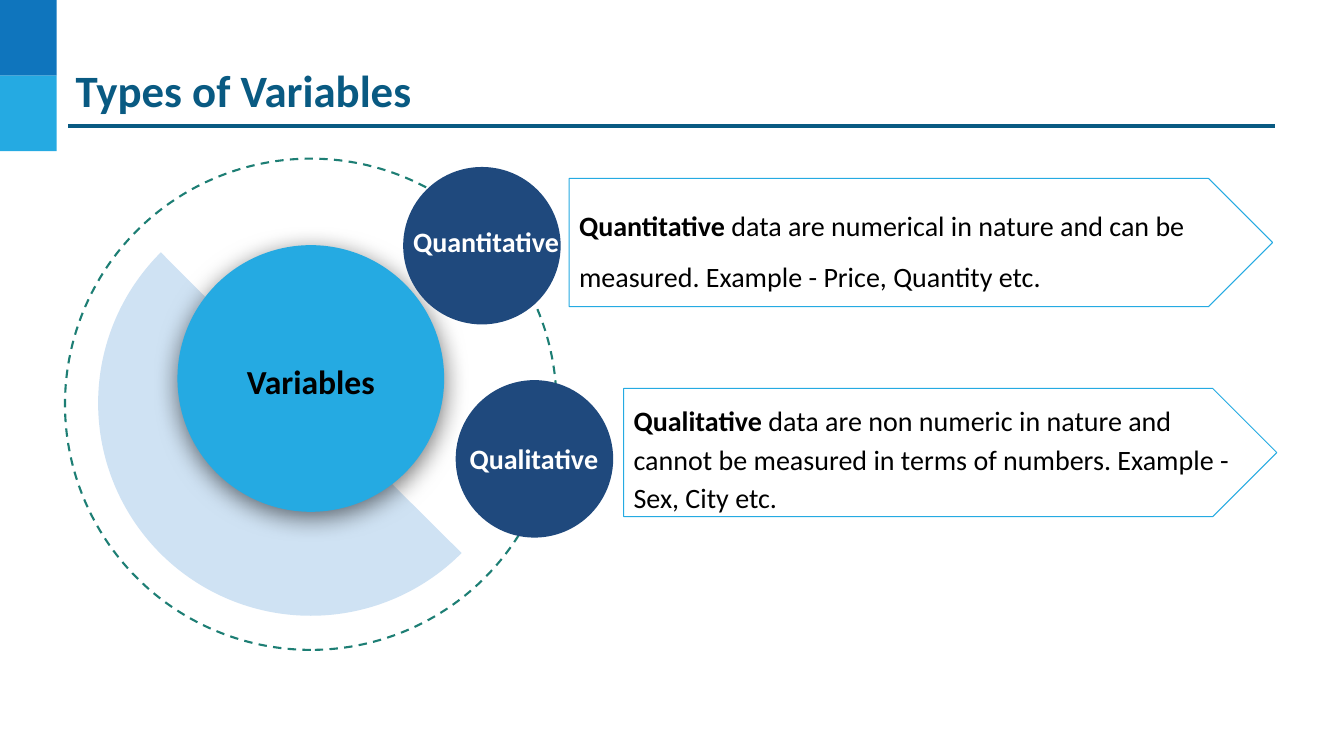
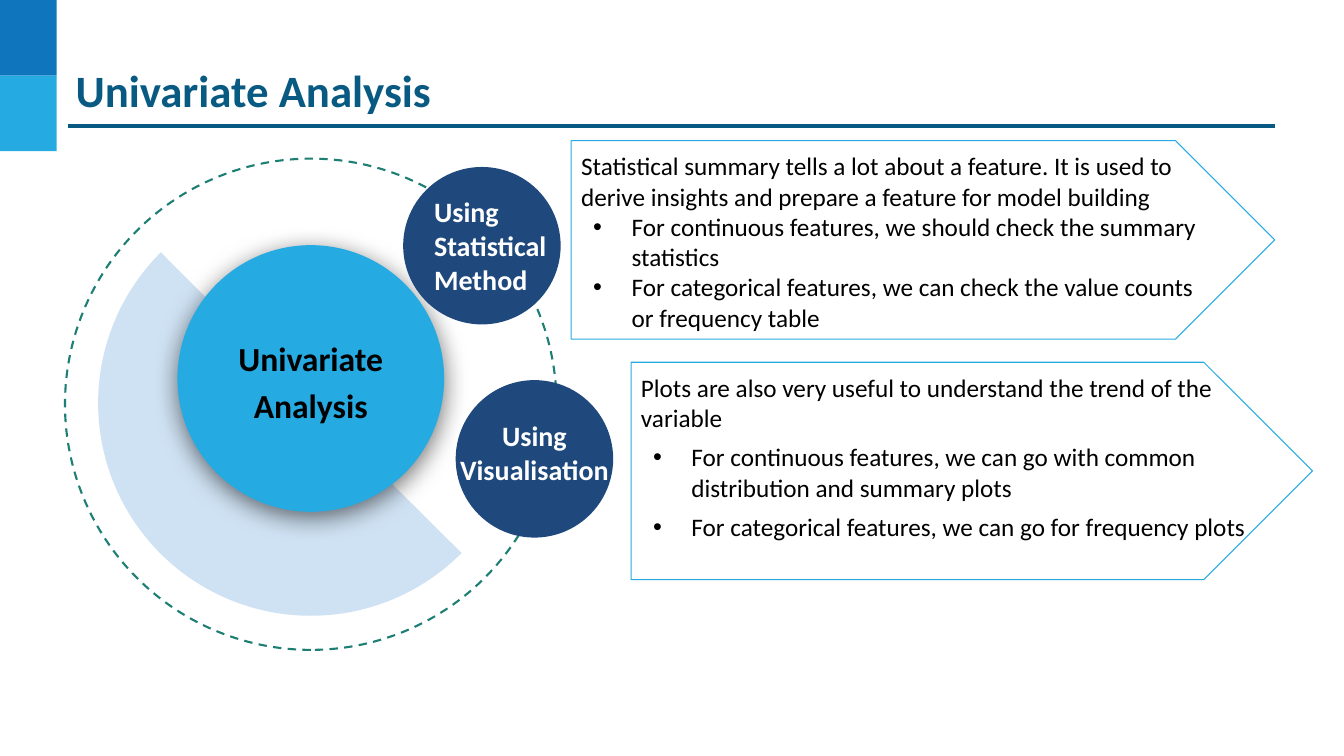
from dataclasses import dataclass

from lxml.etree import SubElement
from pptx import Presentation
from pptx.dml.color import RGBColor
from pptx.enum.dml import MSO_LINE
from pptx.enum.shapes import MSO_CONNECTOR, MSO_SHAPE
from pptx.enum.text import MSO_ANCHOR as Anchor, PP_ALIGN as Align
from pptx.oxml.ns import qn
from pptx.util import Emu, Inches, Pt

SLIDE_W, SLIDE_H = Inches(13.33), Inches(7.5)
COLUMNS, ROWS = 128, 72


@dataclass(frozen=True)
class Theme:
    font: str = "Calibri"
    band_dark: str = "0F75BD"
    accent: str = "25AAE2"
    heading: str = "095A82"
    ring: str = "1D7E74"
    sector: str = "CFE2F3"
    satellite: str = "1F497D"
    ink: str = "000000"
    paper: str = "FFFFFF"
    title_size: int = 32
    hub_size: int = 24
    body_size: int = 20
    detail_size: int = 18


THEME = Theme()


@dataclass(frozen=True)
class Para:
    """A paragraph whose runs are (text, bold) pairs."""
    runs: tuple
    before: float = 0
    spacing: float = 1.0
    align: Align = Align.LEFT
    bulleted: bool = False


@dataclass(frozen=True)
class Branch:
    """A satellite circle's label and the arrow panel beside it."""
    label: str
    label_box: tuple
    label_align: Align
    panel_box: tuple
    panel_paras: tuple
    panel_size: int
    panel_anchor: Anchor = Anchor.TOP


def plain(text, **style):
    return Para(((text, False),), **style)


def bold(text, **style):
    return Para(((text, True),), **style)


def x(columns):
    return Emu(round(SLIDE_W * columns / COLUMNS))


def y(rows):
    return Emu(round(SLIDE_H * rows / ROWS))


def place(box):
    left, top, width, height = box
    return x(left), y(top), x(width), y(height)


def around(centre, diameter):
    """Box of a circle, from its centre."""
    column, row = centre
    return column - diameter / 2, row - diameter / 2, diameter, diameter


def rgb(colour):
    return RGBColor.from_string(colour)


def add_bullet(paragraph):
    props = paragraph._p.get_or_add_pPr()
    props.set("marL", str(Inches(0.5)))
    props.set("indent", str(Inches(-0.38)))
    tint = SubElement(props, qn("a:buClr"))
    SubElement(tint, qn("a:srgbClr"), val=THEME.ink)
    SubElement(props, qn("a:buFont"), typeface="Arial")
    SubElement(props, qn("a:buChar"), char="•")


def write(frame, paras, size, colour, anchor=Anchor.TOP, inset=0.1):
    frame.word_wrap = True
    frame.vertical_anchor = anchor
    frame.margin_left = frame.margin_right = Inches(inset)
    frame.margin_top = frame.margin_bottom = Inches(inset)
    for index, para in enumerate(paras):
        paragraph = frame.add_paragraph() if index else frame.paragraphs[0]
        paragraph.alignment = para.align
        paragraph.line_spacing = para.spacing
        paragraph.space_before = Pt(para.before)
        if para.bulleted:
            add_bullet(paragraph)
        for text, is_bold in para.runs:
            run = paragraph.add_run()
            run.text = text
            run.font.name = THEME.font
            run.font.size = Pt(size)
            run.font.bold = is_bold
            run.font.color.rgb = rgb(colour)


def add_figure(slide, preset, box, fill=None, line=None, width=0.75):
    figure = slide.shapes.add_shape(preset, *place(box))
    figure.shadow.inherit = False
    if fill:
        figure.fill.solid()
        figure.fill.fore_color.rgb = rgb(fill)
    else:
        figure.fill.background()
    if line:
        figure.line.color.rgb = rgb(line)
        figure.line.width = Pt(width)
    else:
        figure.line.fill.background()
    return figure


def add_text(slide, box, paras, size, colour, **layout):
    frame = slide.shapes.add_textbox(*place(box)).text_frame
    write(frame, paras, size, colour, **layout)


def add_drop_shadow(figure):
    effects = figure._element.spPr.find(qn("a:effectLst"))
    shadow = SubElement(effects, qn("a:outerShdw"), blurRad=str(Pt(18)),
                        dist=str(Pt(4)), dir=str(90 * 60000),
                        algn="ctr", rotWithShape="0")
    tint = SubElement(shadow, qn("a:srgbClr"), val=THEME.ink)
    SubElement(tint, qn("a:alpha"), val="54000")


def move_frame_to_layout(slide, layout):
    """Draw the corner bands and title rule, then hand them to the layout."""
    band_w, band_h = 5.4, 7.2
    frame = [
        add_figure(slide, MSO_SHAPE.RECTANGLE,
                   (0, index * band_h, band_w, band_h), fill=colour)
        for index, colour in enumerate((THEME.band_dark, THEME.accent))
    ]
    rule = slide.shapes.add_connector(
        MSO_CONNECTOR.STRAIGHT, x(6.5), y(12), x(121.4), y(12))
    rule.line.color.rgb = rgb(THEME.heading)
    rule.line.width = Pt(2.25)
    SubElement(rule._element.spPr, qn("a:effectLst"))
    for part in frame + [rule]:
        layout.shapes.element.append(part._element)


def add_hub(slide, text):
    ring = add_figure(slide, MSO_SHAPE.OVAL, around((29.6, 38.5), 46.8),
                      line=THEME.ring, width=1.5)
    ring.line.dash_style = MSO_LINE.DASH
    ring.rotation = 270

    sector = add_figure(slide, MSO_SHAPE.PIE, around((29.6, 38.4), 40.5),
                        fill=THEME.sector)
    # Adjustments count 100000ths, pie angles 60000ths of a degree.
    for index, degrees in enumerate((44.83, 225.18)):
        sector.adjustments[index] = degrees * 0.6

    disc = add_figure(slide, MSO_SHAPE.OVAL, around((29.6, 36.05), 25.4),
                      fill=THEME.accent)
    add_drop_shadow(disc)
    write(disc.text_frame, [bold(text, align=Align.CENTER, spacing=1.15)],
          THEME.hub_size, THEME.ink, anchor=Anchor.MIDDLE, inset=0.13)


def add_branch(slide, centre, branch):
    panel = add_figure(slide, MSO_SHAPE.PENTAGON, branch.panel_box,
                       line=THEME.accent)
    write(panel.text_frame, branch.panel_paras, branch.panel_size, THEME.ink,
          anchor=branch.panel_anchor)
    add_figure(slide, MSO_SHAPE.OVAL, around(centre, 15), fill=THEME.satellite)
    add_text(slide, branch.label_box,
             [bold(branch.label, align=branch.label_align)],
             THEME.body_size, THEME.paper)


def fill_slide(slide, title, hub, branches):
    add_text(slide, (7, 4.5, 118, 8), [bold(title)], THEME.title_size,
             THEME.heading, anchor=Anchor.MIDDLE, inset=0.02)
    add_hub(slide, hub)
    for centre, branch in zip(((45.9, 23.4), (50.9, 43.7)), branches):
        add_branch(slide, centre, branch)


def definition(term, text, spacing):
    return (Para(((term, True), (text, False)), before=17.1, spacing=spacing),)


def points(intro, *items, gap=0):
    return (plain(intro, before=6.4),
            *(plain(item, before=gap, bulleted=True) for item in items))


CONTENT = (
    ("Types of Variables", "Variables", (
        Branch("Quantitative", (38.4, 20.4, 16.8, 5.2), Align.LEFT,
               (54.2, 17, 67, 12.2),
               definition("Quantitative",
                          " data are numerical in nature and can be measured."
                          " Example - Price, Quantity etc.", 1.5),
               THEME.body_size, Anchor.MIDDLE),
        Branch("Qualitative", (43.7, 41.1, 14.3, 5.2), Align.CENTER,
               (59.4, 37, 62.2, 12.2),
               definition("Qualitative",
                          " data are non numeric in nature and cannot be"
                          " measured in terms of numbers."
                          " Example - Sex, City etc.", 1.15),
               THEME.body_size),
    )),
    ("Univariate Analysis", "Univariate Analysis", (
        Branch("Using Statistical Method", (40.4, 17.6, 16.8, 11.6), Align.LEFT,
               (54.4, 13.4, 67, 18.9),
               points("Statistical summary tells a lot about a feature. It is"
                      " used to derive insights and prepare a feature for"
                      " model building",
                      "For continuous features, we should check the summary"
                      " statistics",
                      "For categorical features, we can check the value counts"
                      " or frequency table"),
               THEME.detail_size),
        Branch("Using Visualisation", (42.5, 38.9, 16.8, 8.4), Align.CENTER,
               (60.1, 34.5, 64.9, 20.7),
               points("Plots are also very useful to understand the trend of"
                      " the variable",
                      "For continuous features, we can go with common"
                      " distribution and summary plots",
                      "For categorical features, we can go for frequency plots",
                      gap=6.4),
               THEME.detail_size),
    )),
)


def main():
    deck = Presentation()
    deck.slide_width, deck.slide_height = SLIDE_W, SLIDE_H
    blank = deck.slide_layouts[6]
    slides = [deck.slides.add_slide(blank) for _ in CONTENT]
    move_frame_to_layout(slides[0], blank)
    for slide, (title, hub, branches) in zip(slides, CONTENT):
        fill_slide(slide, title, hub, branches)
    deck.save("out.pptx")


if __name__ == "__main__":
    main()
